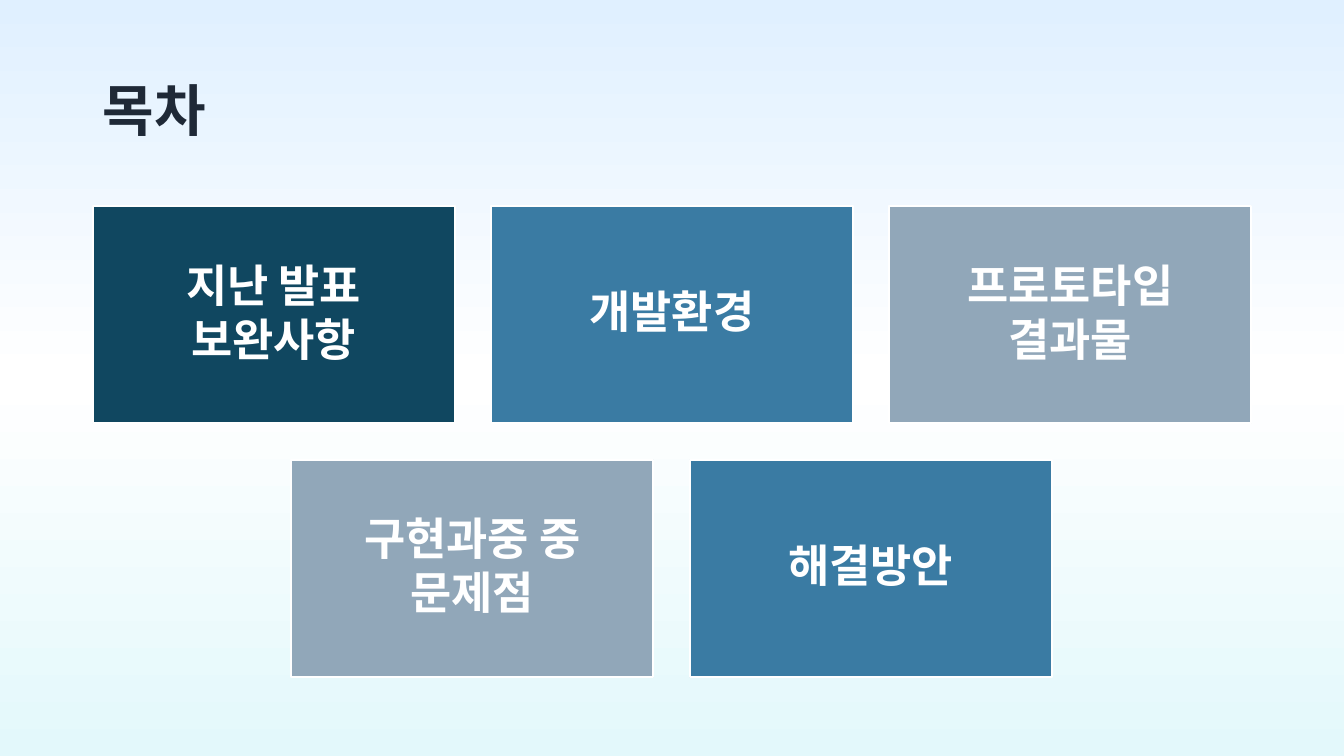
from copy import deepcopy

from lxml import etree
from pptx import Presentation
from pptx import util as u
from pptx.dml.color import RGBColor
from pptx.enum import shapes, text
from pptx.oxml.ns import qn

PX = 9144  # EMU per px, 100 px to the inch
FONT = "Noto Sans CJK KR"
COLORS = {
    "sky": "E0F0FF", "white": "FFFFFF", "mint": "E3F8FB", "ink": "1F2937",
    "navy": "104760", "blue": "3A7BA3", "gray": "91A7B9",
}
ROWS = [
    [("지난 발표\n보완사항", "navy"), ("개발환경", "blue"), ("프로토타입\n결과물", "gray")],
    [("구현과중 중\n문제점", "gray"), ("해결방안", "blue")],
]


def rgb(name):
    return RGBColor.from_string(COLORS[name])


def px(*lengths):
    return [u.Emu(length * PX) for length in lengths]


def write(shape, words, size, color, align=text.PP_ALIGN.LEFT, after=0, inset=(10, 5)):
    """Fill a shape with bold text, one paragraph per line."""
    frame = shape.text_frame
    frame.word_wrap = True
    frame.vertical_anchor = text.MSO_ANCHOR.MIDDLE
    frame.margin_left = frame.margin_right = u.Emu(inset[0] * PX)
    frame.margin_top = frame.margin_bottom = u.Emu(inset[1] * PX)
    for number, line in enumerate(words.split("\n")):
        para = frame.add_paragraph() if number else frame.paragraphs[0]
        para.alignment = align
        para.line_spacing = 0.9
        para.space_after = u.Pt(after)
        span = para.add_run()
        span.text = line
        span.font.size = u.Pt(size)
        span.font.bold = True
        span.font.color.rgb = rgb(color)
        span.font.name = FONT
        # Hangul takes the East Asian typeface
        etree.SubElement(span._r.get_or_add_rPr(), qn("a:ea"), typeface=FONT)


def paint_background(page, colors):
    """Vertical gradient with evenly spaced stops."""
    fill = page.background.fill
    fill.gradient()
    fill.gradient_angle = 270
    stop_list = next(page.element.iter(qn("a:gsLst")))
    while len(stop_list) < len(colors):
        stop_list.append(deepcopy(stop_list[0]))
    for number, (stop, color) in enumerate(zip(fill.gradient_stops, colors)):
        stop.position = number / (len(colors) - 1)
        stop.color.rgb = rgb(color)


def add_title(page, words, left, top, width, height):
    box = page.shapes.add_textbox(*px(left, top, width, height))
    write(box, words, 40, "ink")


def add_card(page, words, color, left, top, width, height):
    card = page.shapes.add_shape(shapes.MSO_SHAPE.RECTANGLE, *px(left, top, width, height))
    card.shadow.inherit = False
    card.fill.solid()
    card.fill.fore_color.rgb = rgb(color)
    card.line.color.rgb = rgb("white")
    card.line.width = u.Pt(1.5)
    write(card, words, 32, "white", text.PP_ALIGN.CENTER, after=4, inset=(13, 13))


def add_card_grid(page, rows, left, top, width, height):
    """Rows of equal cards, each row centred in the box."""
    gap = 36
    columns = max(len(row) for row in rows)
    card_width = (width - gap * (columns - 1)) // columns
    card_height = (height - gap * (len(rows) - 1)) // len(rows)
    for row_number, row in enumerate(rows):
        row_width = len(row) * (card_width + gap) - gap
        start = left + (width - row_width) // 2
        y = top + row_number * (card_height + gap)
        for column, (words, color) in enumerate(row):
            x = start + column * (card_width + gap)
            add_card(page, words, color, x, y, card_width, card_height)


def main():
    deck = Presentation()
    deck.slide_width, deck.slide_height = px(1333, 750)
    page = deck.slides.add_slide(deck.slide_layouts[6])
    paint_background(page, ["sky", "white", "mint"])
    add_title(page, "목차", 92, 40, 1150, 145)
    add_card_grid(page, ROWS, 92, 204, 1149, 468)
    deck.save("out.pptx")


if __name__ == "__main__":
    main()
